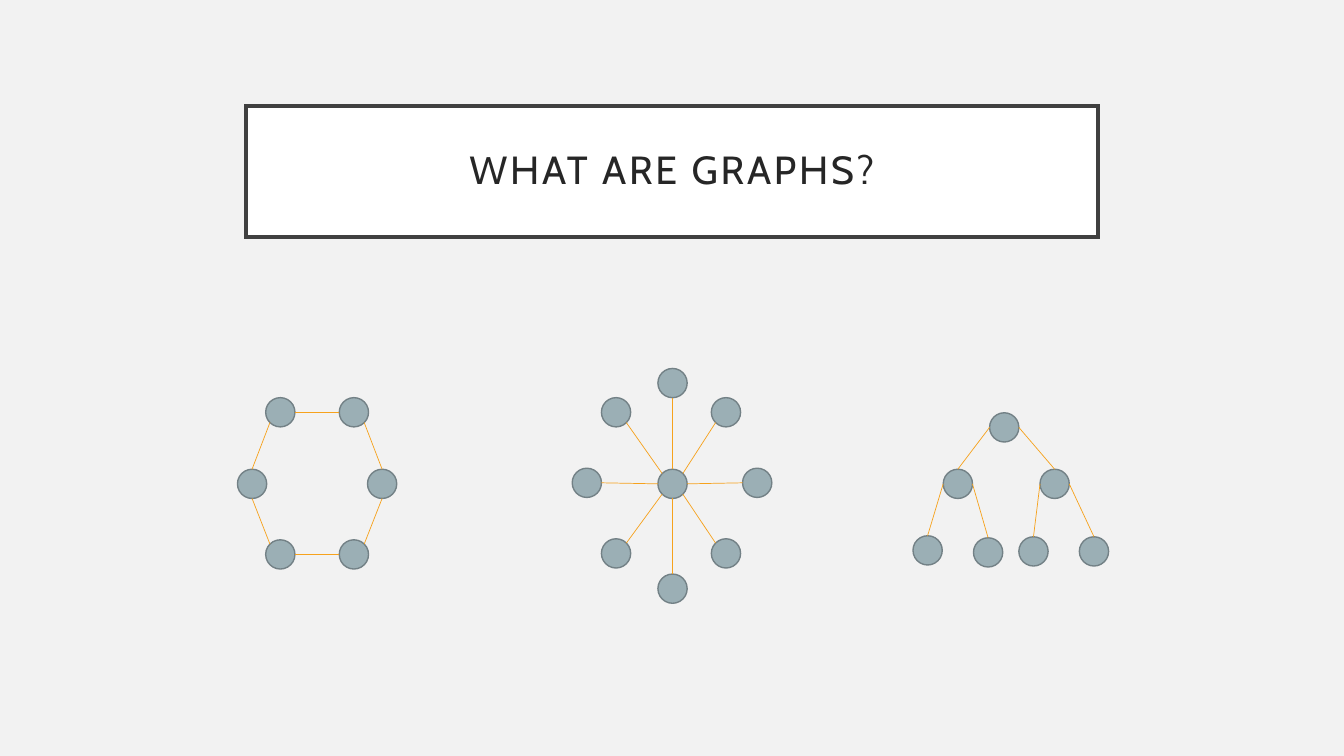
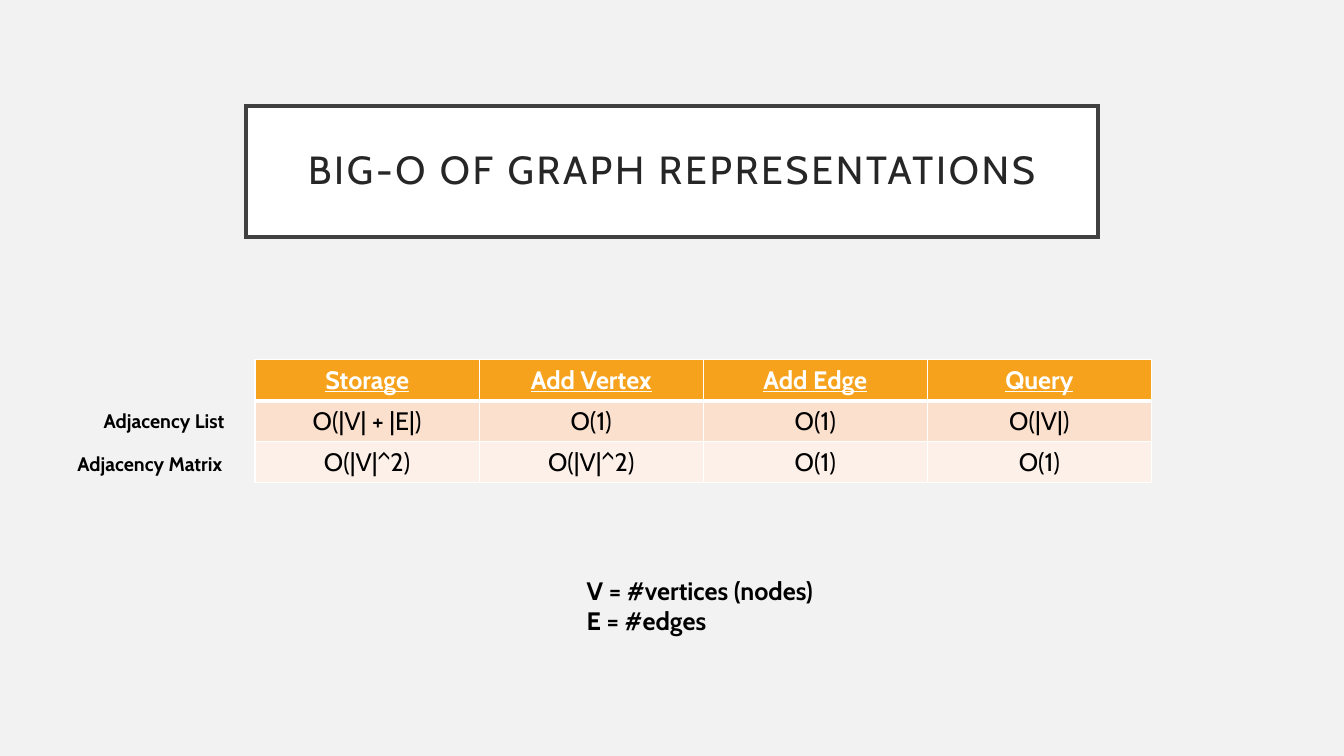
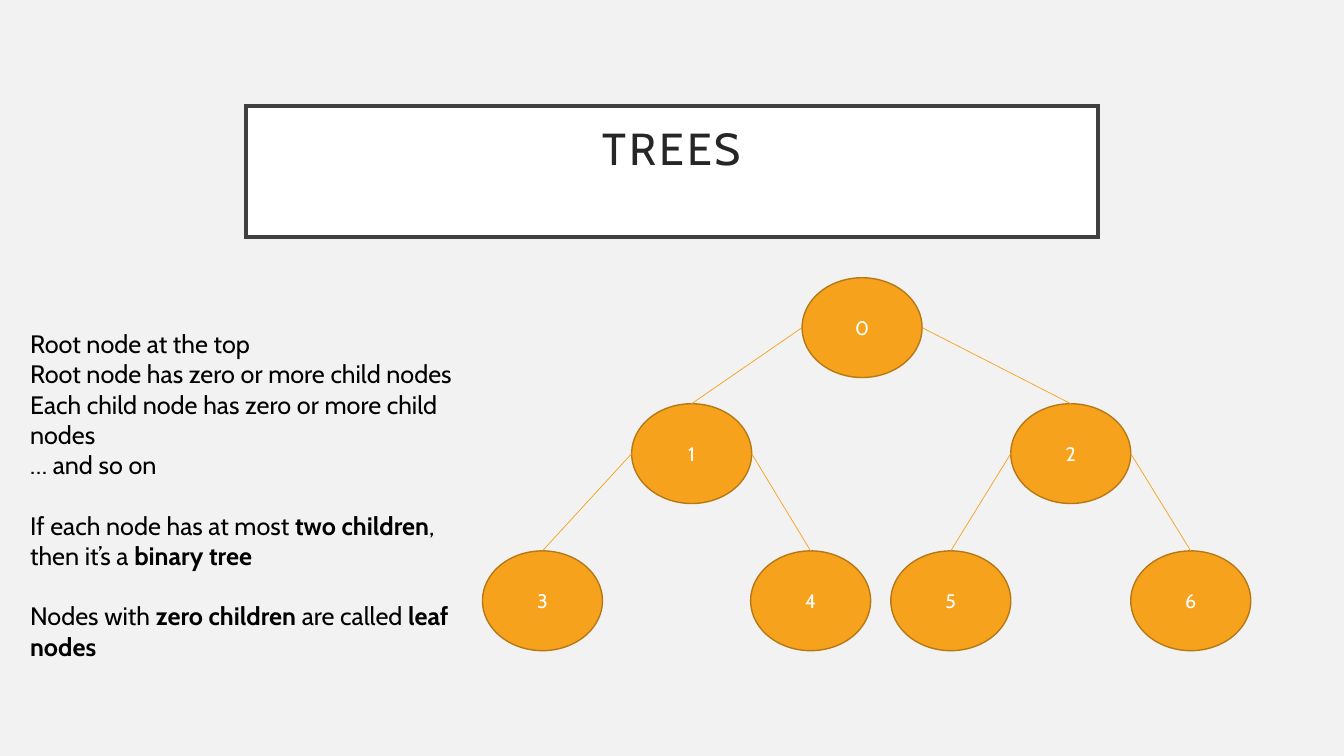
"""Build three slides on graphs, their costs and trees."""
import math

import pptx
import pptx.dml.color
import pptx.enum.shapes
import pptx.enum.text
import pptx.oxml
import pptx.oxml.ns
import pptx.util
from pptx.util import Inches

RGBColor = pptx.dml.color.RGBColor
WHITE = RGBColor(0xFF, 0xFF, 0xFF)
BLACK = RGBColor(0x00, 0x00, 0x00)
PAPER = RGBColor(0xF2, 0xF2, 0xF2)
FRAME = RGBColor(0x40, 0x40, 0x40)
INK = RGBColor(0x26, 0x26, 0x26)
ORANGE = RGBColor(0xF6, 0xA2, 0x1D)
BROWN = RGBColor(0xB6, 0x78, 0x15)
PEACH = RGBColor(0xFB, 0xE0, 0xCD)
CREAM = RGBColor(0xFD, 0xF0, 0xE8)
GREY = RGBColor(0x9B, 0xAF, 0xB5)
SLATE = RGBColor(0x73, 0x81, 0x86)
FONT = "Cabin"
LEFT = pptx.enum.text.PP_ALIGN.LEFT
CENTER = pptx.enum.text.PP_ALIGN.CENTER
DRAWING = pptx.oxml.ns.nsdecls("a")


def write(frame, text, size=18, color=BLACK, bold=False, underline=False,
          align=LEFT, tracking=0, line_spacing=None, gaps_before=()):
    """Fill a text frame, one paragraph per line; *stars* mark bold words."""
    frame.word_wrap = True
    for index, line in enumerate(text.split("\n")):
        paragraph = frame.paragraphs[0] if index == 0 else frame.add_paragraph()
        paragraph.alignment = align
        if line_spacing:
            paragraph.line_spacing = line_spacing
        if index in gaps_before:
            paragraph.space_before = pptx.util.Pt(size * 1.2)
        for position, words in enumerate(line.split("*")):
            if not words:
                continue
            run = paragraph.add_run()
            run.text = words
            run.font.name = FONT
            run.font.size = pptx.util.Pt(size)
            run.font.color.rgb = color
            run.font.bold = bold or position % 2 == 1
            run.font.underline = underline
            if tracking:
                run.font._element.set("spc", str(tracking * 100))


def ellipse_site(center, size, site):
    """Return the point of an ellipse's connection site, 0 at the top, counter-clockwise."""
    angle = math.radians(90 + 45 * site)
    return (Inches(center[0] + size[0] / 2 * math.cos(angle)),
            Inches(center[1] - size[1] / 2 * math.sin(angle)))


deck = pptx.Presentation()
deck.slide_width = Inches(13.33)
deck.slide_height = Inches(7.5)
background = deck.slide_master.background.fill
background.solid()
background.fore_color.rgb = PAPER
title_only = deck.slide_layouts[5]

slides = []
for heading, size, bottom_inset in [
    ("WHAT ARE GRAPHS?", 28, 0.2),
    ("BIG-O OF GRAPH REPRESENTATIONS", 28, 0.2),
    ("TREES", 32, 0.6),
]:
    slide = deck.slides.add_slide(title_only)
    title = slide.shapes.title
    title.left, title.top = Inches(2.44), Inches(1.05)
    title.width, title.height = Inches(8.45), Inches(1.3)
    title.fill.solid()
    title.fill.fore_color.rgb = WHITE
    title.line.color.rgb = FRAME
    title.line.width = pptx.util.Pt(2.5)
    title.line._get_or_add_ln().append(
        pptx.oxml.parse_xml(f'<a:miter {DRAWING} lim="800000"/>'))
    frame = title.text_frame
    frame.auto_size = pptx.enum.text.MSO_AUTO_SIZE.NONE
    frame.vertical_anchor = pptx.enum.text.MSO_ANCHOR.MIDDLE
    frame.margin_left = frame.margin_right = frame.margin_top = Inches(0.2)
    frame.margin_bottom = Inches(bottom_inset)
    write(frame, heading, size=size, color=INK, align=CENTER, tracking=2, line_spacing=0.9)
    slides.append(slide)
graphs_slide, costs_slide, trees_slide = slides

ring = [(2.5, 4.8), (2.78, 4.09), (3.51, 4.09), (3.79, 4.8), (3.51, 5.5), (2.78, 5.5)]
ring_edges = [(0, 0, 1, 3), (0, 4, 5, 1), (1, 6, 2, 2),
              (2, 5, 3, 0), (4, 7, 3, 4), (5, 6, 4, 2)]
star = [(6.67, 4.8), (6.67, 3.8), (6.11, 4.09), (5.82, 4.79), (6.11, 5.49),
        (6.67, 5.84), (7.2, 5.49), (7.51, 4.79), (7.2, 4.09)]
star_edges = [(0, site, site + 1, (site + 4) % 8) for site in range(8)]
small_tree = [(9.96, 4.24), (9.5, 4.8), (10.46, 4.8),
              (9.2, 5.46), (9.8, 5.48), (10.25, 5.47), (10.85, 5.47)]
large_tree = [(8.55, 3.25), (6.86, 4.5), (10.62, 4.5),
              (5.38, 5.96), (8.04, 5.96), (9.43, 5.96), (11.81, 5.96)]
tree_edges = [((child - 1) // 2, 2 if child % 2 else 6, child, 0) for child in range(1, 7)]

dot = (0.29, 0.29)
for slide, nodes, edges, node_size, fill, outline, numbered in [
    (graphs_slide, ring, ring_edges, dot, GREY, SLATE, False),
    (graphs_slide, star, star_edges, dot, GREY, SLATE, False),
    (graphs_slide, small_tree, tree_edges, dot, GREY, SLATE, False),
    (trees_slide, large_tree, tree_edges, (1.19, 0.99), ORANGE, BROWN, True),
]:
    width, height = node_size
    for number, (x, y) in enumerate(nodes):
        node = slide.shapes.add_shape(
            pptx.enum.shapes.MSO_SHAPE.OVAL, Inches(x - width / 2), Inches(y - height / 2),
            Inches(width), Inches(height))
        node.shadow.inherit = False
        node.fill.solid()
        node.fill.fore_color.rgb = fill
        node.line.color.rgb = outline
        node.line.width = pptx.util.Pt(1)
        if numbered:
            write(node.text_frame, str(number), size=14, color=WHITE, align=CENTER)
    for start, start_site, end, end_site in edges:
        edge = slide.shapes.add_connector(
            pptx.enum.shapes.MSO_CONNECTOR.STRAIGHT,
            *ellipse_site(nodes[start], node_size, start_site),
            *ellipse_site(nodes[end], node_size, end_site))
        edge.line.color.rgb = ORANGE
        edge.line.width = pptx.util.Pt(0.5)
        edge._element.spPr.append(pptx.oxml.parse_xml(f"<a:effectLst {DRAWING}/>"))

costs = [
    ["Storage", "Add Vertex", "Add Edge", "Query"],
    ["O(|V| + |E|)", "O(1)", "O(1)", "O(|V|)"],
    ["O(|V|^2)", "O(|V|^2)", "O(1)", "O(1)"],
]
cost_table = costs_slide.shapes.add_table(
    3, 4, Inches(2.53), Inches(3.57), Inches(8.89), Inches(1.22)).table
for row, (values, fill) in enumerate(zip(costs, [ORANGE, PEACH, CREAM])):
    header = row == 0
    for column, value in enumerate(values):
        cell = cost_table.cell(row, column)
        write(cell.text_frame, value, color=WHITE if header else BLACK,
              bold=header, underline=header, align=CENTER)
        properties = cell._tc.get_or_add_tcPr()
        for side in "LRTB":
            under_header = (row, side) in [(0, "B"), (1, "T")]
            points = 3 if under_header else 1
            properties.append(pptx.oxml.parse_xml(
                f'<a:ln{side} {DRAWING} w="{pptx.util.Pt(points)}"><a:solidFill>'
                f'<a:srgbClr val="{WHITE}"/></a:solidFill></a:ln{side}>'))
        cell.fill.solid()
        cell.fill.fore_color.rgb = fill

tree_facts = """Root node at the top
Root node has zero or more child nodes
Each child node has zero or more child nodes
… and so on
If each node has at most *two children*, then it’s a *binary tree*
Nodes with* zero children *are called *leaf nodes*"""
for slide, place, text, style in [
    (costs_slide, (5.72, 5.66, 2.69, 0.71), "V = #vertices (nodes)\nE = #edges", {"bold": True}),
    (costs_slide, (0.93, 4.01, 1.53, 0.34), "Adjacency List", {"bold": True, "size": 14}),
    (costs_slide, (0.67, 4.43, 1.8, 0.34), "Adjacency Matrix", {"bold": True, "size": 14}),
    (trees_slide, (0.2, 3.21, 4.75, 3.43), tree_facts, {"gaps_before": (4, 5)}),
]:
    note = slide.shapes.add_textbox(*[Inches(length) for length in place])
    write(note.text_frame, text, **style)

deck.save("out.pptx")
